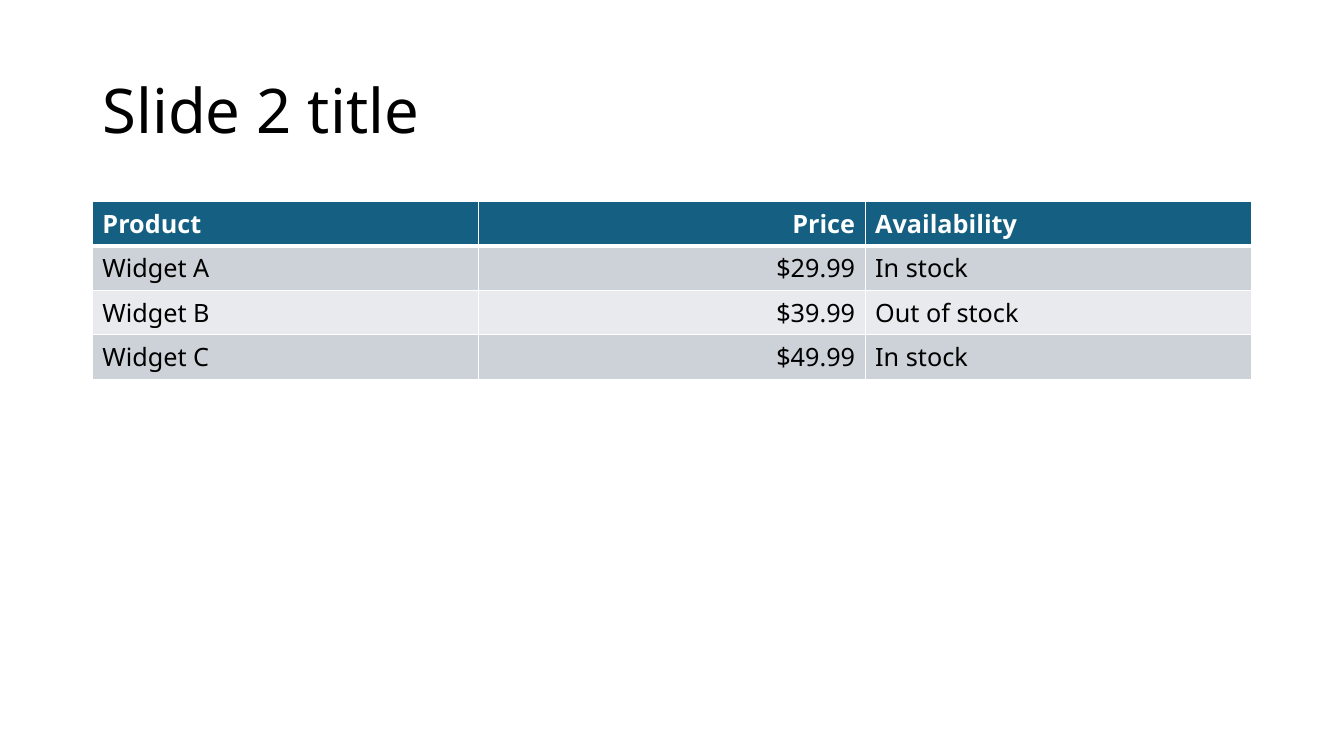
from lxml.etree import SubElement
from pptx import Presentation
from pptx.dml.color import RGBColor as Rgb
from pptx.enum.text import MSO_ANCHOR as Anchor, PP_ALIGN as Align
from pptx.oxml.ns import qn
from pptx.util import Pt

FONT = "Noto Sans"
WHITE, BLACK, HEADER_FILL = "FFFFFF", "000000", "156082"
BAND_FILLS = ["CCD2D8", "E8EAED"]
LEFT, WIDTH = 66, 828
ROW_HEIGHT = 29.2

PRODUCTS = [
    ["Product", "Price", "Availability"],
    ["Widget A", "$29.99", "In stock"],
    ["Widget B", "$39.99", "Out of stock"],
    ["Widget C", "$49.99", "In stock"],
]
ALIGNMENTS = [Align.LEFT, Align.RIGHT, Align.LEFT]


def color(value):
    return Rgb.from_string(value)


def set_attributes(target, values):
    for name, value in values.items():
        setattr(target, name, value)


def write_text(frame, text, size, text_color, bold=False, **paragraph_format):
    paragraph = frame.paragraphs[0]
    set_attributes(paragraph, paragraph_format)
    run = paragraph.add_run()
    run.text = text
    set_attributes(run.font, {"name": FONT, "size": Pt(size), "bold": bold})
    run.font.color.rgb = color(text_color)


def add_title(slide, text):
    title = slide.shapes.title
    set_attributes(title, {"left": Pt(LEFT), "top": Pt(28.75),
                           "width": Pt(WIDTH), "height": Pt(104.4)})
    set_attributes(title.text_frame, {"word_wrap": True,
                                      "vertical_anchor": Anchor.MIDDLE})
    write_text(title.text_frame, text, 44, BLACK,
               alignment=Align.LEFT, line_spacing=0.9)


def add_borders(cell, widths):
    properties = cell._tc.get_or_add_tcPr()
    for side, width in widths.items():
        line = SubElement(properties, qn(f"a:ln{side}"), w=str(Pt(width)))
        fill = SubElement(line, qn("a:solidFill"))
        SubElement(fill, qn("a:srgbClr"), val=WHITE)


def format_cell(cell, text, alignment, row):
    is_header = row == 0
    add_borders(cell, {"L": 1, "R": 1, "T": 3 if row == 1 else 1,
                       "B": 3 if is_header else 1})
    cell.fill.solid()
    fill = HEADER_FILL if is_header else BAND_FILLS[(row - 1) % 2]
    cell.fill.fore_color.rgb = color(fill)
    write_text(cell.text_frame, text, 18, WHITE if is_header else BLACK,
               bold=is_header, alignment=alignment)


def add_product_table(slide):
    row_count, column_count = len(PRODUCTS), len(ALIGNMENTS)
    table = slide.shapes.add_table(
        row_count, column_count, Pt(LEFT), Pt(144),
        Pt(WIDTH), Pt(ROW_HEIGHT * row_count)).table
    for row, texts in enumerate(PRODUCTS):
        for column, text in enumerate(texts):
            format_cell(table.cell(row, column), text, ALIGNMENTS[column], row)


def main():
    presentation = Presentation()
    set_attributes(presentation, {"slide_width": Pt(960),
                                  "slide_height": Pt(540)})
    slide = presentation.slides.add_slide(presentation.slide_layouts[5])
    add_title(slide, "Slide 2 title")
    add_product_table(slide)
    presentation.save("out.pptx")


if __name__ == "__main__":
    main()
